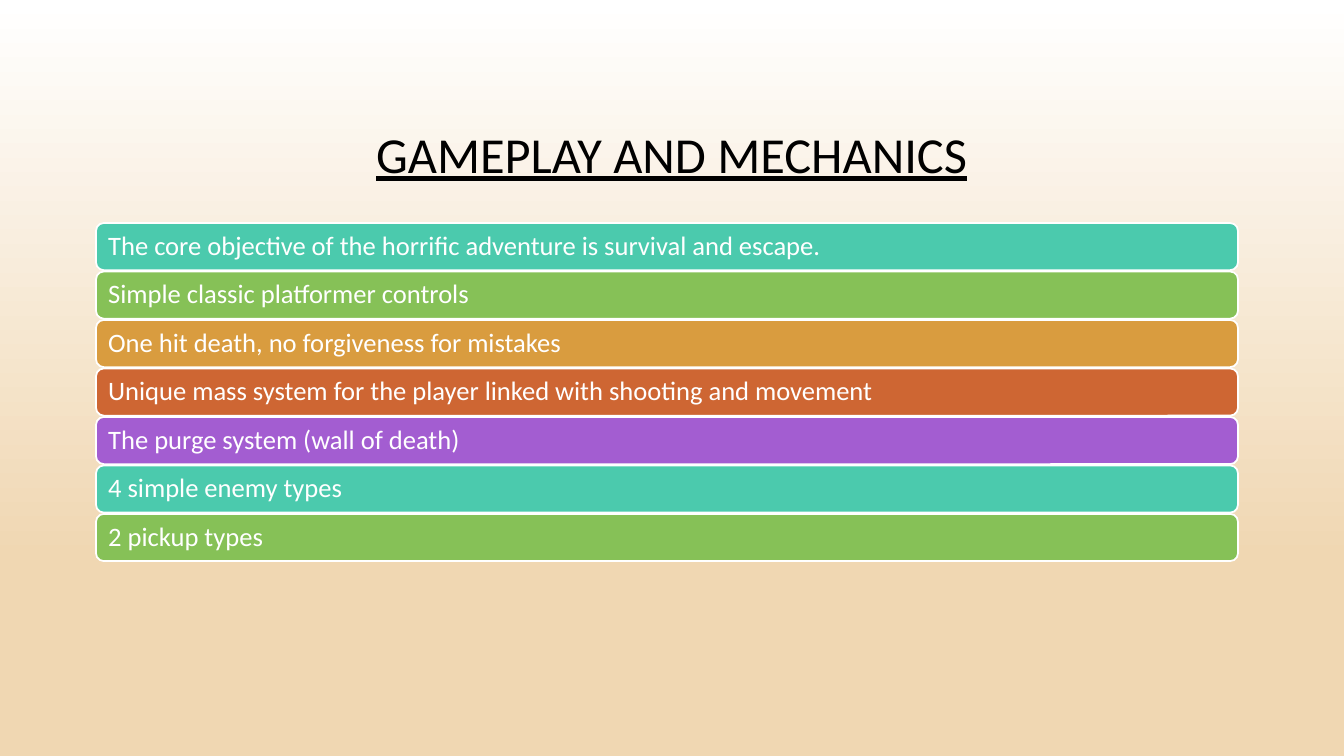
from pptx import Presentation
from pptx.dml.color import RGBColor
from pptx.enum.shapes import MSO_SHAPE
from pptx.enum.text import MSO_ANCHOR, PP_ALIGN
from pptx.util import Cm, Pt

BAR_COLORS = ["4BCAAD", "86C157", "D99C3F", "CE6633", "A35DD1"]
MECHANICS = [
    "The core objective of the horrific adventure is survival and escape.",
    "Simple classic platformer controls",
    "One hit death, no forgiveness for mistakes",
    "Unique mass system for the player linked with shooting and movement",
    "The purge system (wall of death)",
    "4 simple enemy types",
    "2 pickup types",
]


def color(value):
    return RGBColor.from_string(value)


def set_attributes(target, values):
    for name, value in values.items():
        setattr(target, name, value)


def write_text(shape, text, alignment, text_color, font_format):
    frame = shape.text_frame
    set_attributes(frame, {"word_wrap": True, "vertical_anchor": MSO_ANCHOR.MIDDLE})
    paragraph = frame.paragraphs[0]
    set_attributes(paragraph, {"alignment": alignment, "line_spacing": 0.9})
    run = paragraph.add_run()
    run.text = text
    set_attributes(run.font, {"name": "Calibri", **font_format})
    run.font.color.rgb = color(text_color)


def paint_background(slide):
    fill = slide.background.fill
    fill.gradient()
    fill.gradient_angle = 270
    stops = [(0, "FFFFFF"), (0.74, "F0D7B2")]
    for stop, (position, value) in zip(fill.gradient_stops, stops):
        stop.position = position
        stop.color.rgb = color(value)


def place_title(slide, left, top, width, height):
    title = slide.shapes.title
    set_attributes(title, {"left": left, "top": top, "width": width, "height": height})
    write_text(title, "GAMEPLAY AND MECHANICS", PP_ALIGN.CENTER, "000000",
               {"size": Pt(36), "underline": True})


def add_bars(slide, left, top, width, height):
    """Stack one rounded bar per mechanic, evenly spaced over the box."""
    bar_height = Cm(1.19)
    pitch = (height - bar_height) / (len(MECHANICS) - 1)
    for index, text in enumerate(MECHANICS):
        bar = slide.shapes.add_shape(MSO_SHAPE.ROUNDED_RECTANGLE, left,
                                     round(top + index * pitch), width, bar_height)
        bar.shadow.inherit = False
        bar.fill.solid()
        bar.fill.fore_color.rgb = color(BAR_COLORS[index % len(BAR_COLORS)])
        bar.line.color.rgb = color("FFFFFF")
        bar.line.width = Pt(1.25)
        set_attributes(bar.text_frame, {"margin_left": Cm(0.25), "margin_right": Cm(0.25),
                                        "margin_top": Cm(0.2), "margin_bottom": Cm(0.2)})
        write_text(bar, text, PP_ALIGN.LEFT, "FFFFFF", {"size": Pt(19)})


def main():
    presentation = Presentation()
    set_attributes(presentation, {"slide_width": Cm(33.87), "slide_height": Cm(19.05)})
    slide = presentation.slides.add_slide(presentation.slide_layouts[5])
    paint_background(slide)
    place_title(slide, Cm(2.54), Cm(1.73), Cm(28.78), Cm(4.45))
    add_bars(slide, Cm(2.42), Cm(5.62), Cm(28.78), Cm(8.52))
    presentation.save("out.pptx")


if __name__ == "__main__":
    main()
